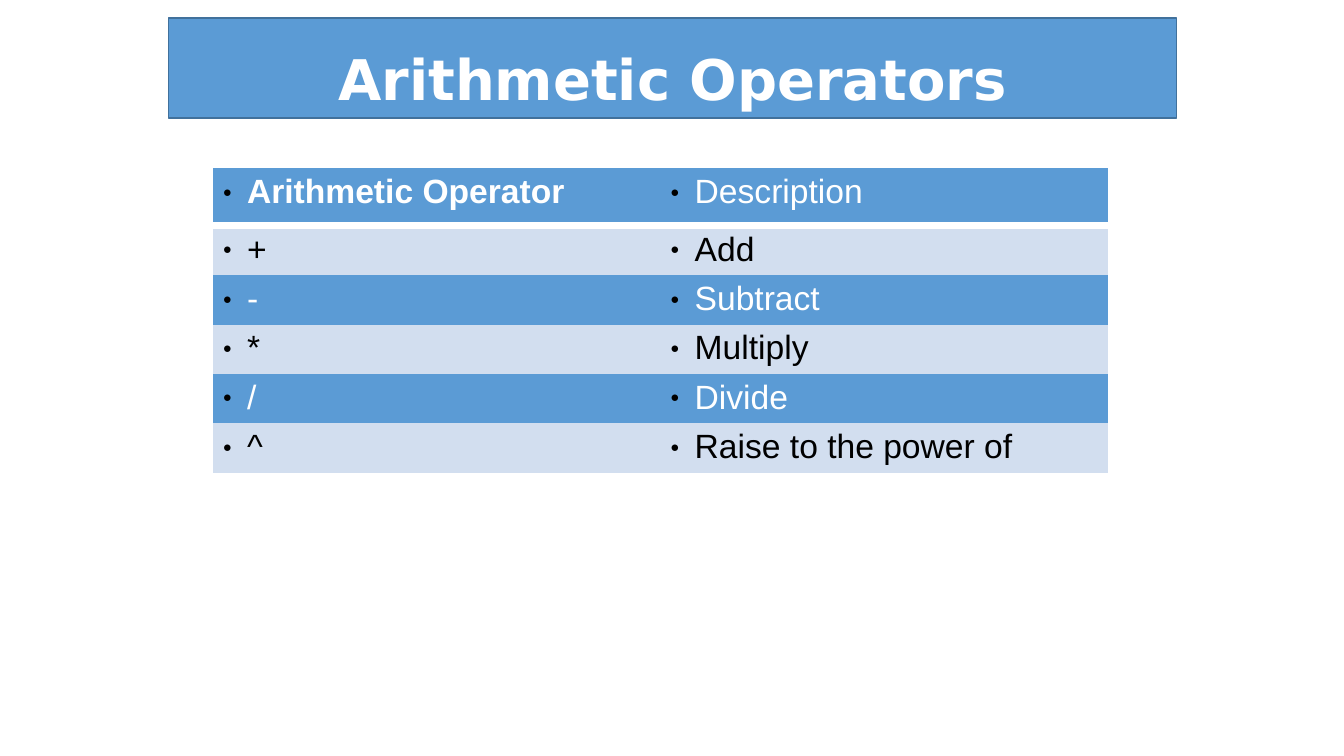
"""Build a slide that lists the arithmetic operators in a table."""
from lxml import etree
from pptx import Presentation
from pptx.dml.color import RGBColor
from pptx.enum.shapes import MSO_SHAPE
from pptx.enum.text import MSO_ANCHOR, PP_ALIGN
from pptx.oxml.ns import qn
from pptx.util import Inches, Pt

RECTANGLE = MSO_SHAPE.RECTANGLE
BOTTOM = MSO_ANCHOR.BOTTOM
CENTER, LEFT = PP_ALIGN.CENTER, PP_ALIGN.LEFT

WHITE = RGBColor(0xFF, 0xFF, 0xFF)
BLACK = RGBColor(0x00, 0x00, 0x00)
BLUE = RGBColor(0x5B, 0x9B, 0xD5)
DARK_BLUE = RGBColor(0x41, 0x71, 0x9C)
PALE_BLUE = RGBColor(0xD2, 0xDE, 0xEF)

TITLE = "Arithmetic Operators"
OPERATORS = [
    ("Arithmetic Operator", "Description"),
    ("+", "Add"),
    ("-", "Subtract"),
    ("*", "Multiply"),
    ("/", "Divide"),
    ("^", "Raise to the power of"),
]
BANDS = [(BLUE, WHITE), (PALE_BLUE, BLACK)]

COLUMN_WIDTH = Inches(4.44)
HEADER_HEIGHT, ROW_HEIGHT = Inches(0.57), Inches(0.49)
BULLET_INDENT = Inches(0.24)
RULE_WIDTH = Pt(6)
PLAIN_TABLE_STYLE = "{2D5ABB26-0587-4C30-8999-92F81FD0307C}"


def add_bullet(paragraph):
    properties = paragraph._p.get_or_add_pPr()
    properties.set("marL", str(BULLET_INDENT))
    properties.set("indent", str(-BULLET_INDENT))
    color = etree.SubElement(properties, qn("a:buClr"))
    etree.SubElement(color, qn("a:srgbClr"), val=str(BLACK))
    etree.SubElement(properties, qn("a:buSzPct"), val="45000")
    etree.SubElement(properties, qn("a:buFont"), typeface="Arial")
    etree.SubElement(properties, qn("a:buChar"), char="●")


def write(frame, text, *, size, font, color, bold=False, align=LEFT,
          spacing=1.0, bullet=False):
    paragraph = frame.paragraphs[0]
    paragraph.alignment = align
    paragraph.line_spacing = spacing
    if bullet:
        add_bullet(paragraph)
    run = paragraph.add_run()
    run.text = text
    run.font.size = Pt(size)
    run.font.name = font
    run.font.bold = bold
    run.font.color.rgb = color


def add_rule_below(cell):
    rule = etree.Element(qn("a:lnB"), w=str(RULE_WIDTH))
    fill = etree.SubElement(rule, qn("a:solidFill"))
    etree.SubElement(fill, qn("a:srgbClr"), val=str(WHITE))
    cell._tc.get_or_add_tcPr().insert(0, rule)


def add_title(slide):
    banner = slide.shapes.add_shape(
        RECTANGLE, Inches(1.67), Inches(0.18), Inches(10), Inches(0.99))
    banner.shadow.inherit = False
    banner.fill.solid()
    banner.fill.fore_color.rgb = BLUE
    banner.line.color.rgb = DARK_BLUE
    banner.line.width = Pt(1)
    banner.text_frame.word_wrap = True
    banner.text_frame.vertical_anchor = BOTTOM
    write(banner.text_frame, TITLE, size=40, font="DejaVu Sans", color=WHITE,
          bold=True, align=CENTER, spacing=0.9)


def add_operators(slide):
    row_count, column_count = len(OPERATORS), len(OPERATORS[0])
    table = slide.shapes.add_table(
        row_count, column_count, Inches(2.11), Inches(1.67),
        COLUMN_WIDTH * column_count,
        HEADER_HEIGHT + ROW_HEIGHT * (row_count - 1)).table
    table._tbl.tblPr.find(qn("a:tableStyleId")).text = PLAIN_TABLE_STYLE
    for column in table.columns:
        column.width = COLUMN_WIDTH
    for r, entries in enumerate(OPERATORS):
        is_header = r == 0
        table.rows[r].height = HEADER_HEIGHT if is_header else ROW_HEIGHT
        band_color, text_color = BANDS[r % len(BANDS)]
        for c, entry in enumerate(entries):
            cell = table.cell(r, c)
            cell.fill.solid()
            cell.fill.fore_color.rgb = band_color
            write(cell.text_frame, entry, size=24, font="Arial",
                  color=text_color, bold=is_header and c == 0, bullet=True)
            if is_header:
                add_rule_below(cell)


def main():
    deck = Presentation()
    deck.slide_width, deck.slide_height = Inches(13.33), Inches(7.5)
    slide = deck.slides.add_slide(deck.slide_layouts[6])
    add_title(slide)
    add_operators(slide)
    deck.save("out.pptx")


if __name__ == "__main__":
    main()
